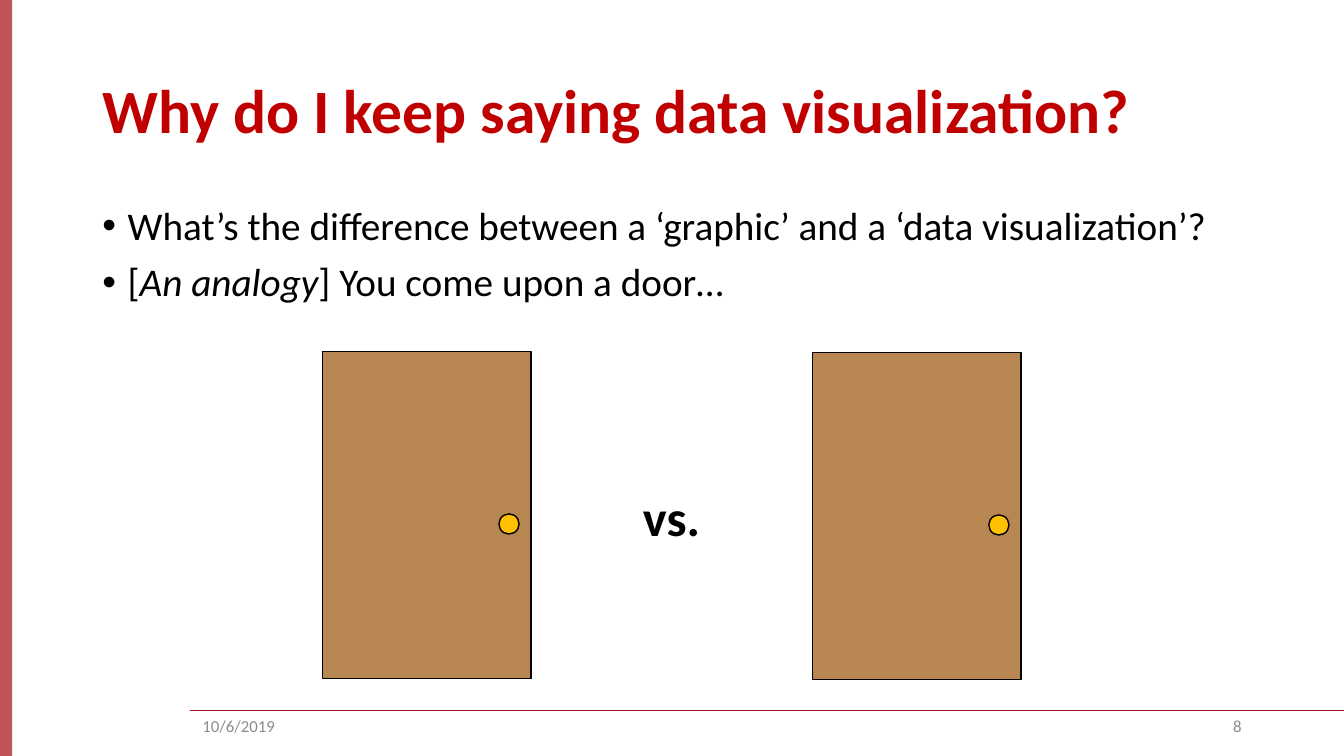
import pptx
import pptx.util
import pptx.dml.color
import pptx.enum.shapes
import pptx.enum.text
import pptx.oxml
import pptx.oxml.ns
import lxml.etree

RGBColor = pptx.dml.color.RGBColor
SHAPE = pptx.enum.shapes.MSO_SHAPE
ANCHOR = pptx.enum.text.MSO_ANCHOR
ALIGN = pptx.enum.text.PP_ALIGN
FIT = pptx.enum.text.MSO_AUTO_SIZE
Pt = pptx.util.Pt
qn = pptx.oxml.ns.qn

BLACK = RGBColor(0x00, 0x00, 0x00)
TITLE_RED = RGBColor(0xC0, 0x00, 0x00)
BAR_RED = RGBColor(0xAF, 0x28, 0x2C)
RULE_RED = RGBColor(0xA2, 0x17, 0x27)
WOOD = RGBColor(0xB7, 0x86, 0x51)
GOLD = RGBColor(0xFF, 0xC0, 0x00)
GREY = RGBColor(0x8C, 0x8C, 0x8C)

COLS, ROWS = 160, 90


class DoorSlide:
    """Draws styled elements on one slide, placed by a 160 by 90 grid."""

    font = "Calibri"

    def __init__(self, prs):
        self.cell_w = prs.slide_width / COLS
        self.cell_h = prs.slide_height / ROWS
        self.s = prs.slides.add_slide(prs.slide_layouts[1])

    def box(self, col, row, cols, rows):
        return (round(col * self.cell_w), round(row * self.cell_h),
                round(cols * self.cell_w), round(rows * self.cell_h))

    def place(self, sp, *cells):
        sp.left, sp.top, sp.width, sp.height = self.box(*cells)

    def style(self, font, size, color, bold=False):
        font.name, font.size, font.bold = self.font, Pt(size), bold
        font.color.rgb = color

    def title(self, text, *cells):
        sp = self.s.shapes.title
        self.place(sp, *cells)
        tf = sp.text_frame
        tf.text = text
        tf.auto_size = FIT.NONE
        tf.vertical_anchor = ANCHOR.MIDDLE
        p = tf.paragraphs[0]
        p.alignment, p.line_spacing = ALIGN.LEFT, 0.9
        self.style(p.runs[0].font, 44, TITLE_RED, True)

    def bullets(self, items, *cells):
        sp = self.s.placeholders[1]
        self.place(sp, *cells)
        tf = sp.text_frame
        tf.auto_size = FIT.NONE
        for i, parts in enumerate(items):
            p = tf.add_paragraph() if i else tf.paragraphs[0]
            p.line_spacing, p.space_before = 0.9, Pt(10 if i else 0)
            pPr = p._p.get_or_add_pPr()
            pPr.set("marL", "228600")
            pPr.set("indent", "-228600")
            lxml.etree.SubElement(pPr, qn("a:buFont"), typeface="Arial")
            lxml.etree.SubElement(pPr, qn("a:buChar"), char="•")
            for text, italic in parts:
                r = p.add_run()
                r.text = text
                self.style(r.font, 28, BLACK)
                r.font.italic = italic

    def label(self, text, cells, size, color, bold=False, align=ALIGN.LEFT,
              anchor=ANCHOR.MIDDLE, wrap=True):
        tf = self.s.shapes.add_textbox(*self.box(*cells)).text_frame
        tf.text = text
        tf.word_wrap, tf.vertical_anchor = wrap, anchor
        tf.auto_size = FIT.NONE if wrap else FIT.SHAPE_TO_FIT_TEXT
        p = tf.paragraphs[0]
        p.alignment = align
        self.style(p.runs[0].font, size, color, bold)

    def shape(self, shapes, kind, cells, fill, line=None):
        sp = shapes.add_shape(kind, *self.box(*cells))
        sp.shadow.inherit = False
        sp.fill.solid()
        sp.fill.fore_color.rgb = fill
        if line is None:
            sp.line.fill.background()
        else:
            sp.line.color.rgb, sp.line.width = line, Pt(1)
        return sp

    def side_bar(self, cols):
        sp = self.shape(self.s.shapes, SHAPE.RECTANGLE, (0, 0, cols, ROWS), BAR_RED)
        clr = sp._element.spPr.find(qn("a:solidFill"))[0]
        lxml.etree.SubElement(clr, qn("a:alpha"), val="80000")

    def rule(self, col, row):
        x, y, w, _ = self.box(col, row, COLS - col, 0)
        line = self.s.shapes.add_connector(
            pptx.enum.shapes.MSO_CONNECTOR.STRAIGHT, x, y, x + w, y)
        line.line.color.rgb, line.line.width = RULE_RED, Pt(1)
        lxml.etree.SubElement(line._element.spPr, qn("a:effectLst"))

    def door(self, col, row):
        shapes = self.s.shapes.add_group_shape().shapes
        self.shape(shapes, SHAPE.RECTANGLE, (col, row, 24.84, 38.88), WOOD, BLACK)
        self.shape(shapes, SHAPE.OVAL, (col + 21, row + 19.3, 2.4, 2.4), GOLD, BLACK)


def main():
    prs = pptx.Presentation()
    prs.slide_width = pptx.util.Inches(13.33)
    prs.slide_height = pptx.util.Inches(7.5)
    slide = DoorSlide(prs)
    slide.side_bar(1.44)
    slide.rule(22.68, 84.6)
    slide.title("Why do I keep saying data visualization?", 11, 4.8, 138, 17.4)
    slide.bullets([
        [("What’s the difference between a ‘graphic’ and a ‘data visualization’?", False)],
        [("[", False), ("An analogy", True), ("] You come upon a door…", False)],
    ], 11, 24, 138, 57.1)
    slide.label("10/6/2019", (22.92, 84.6, 24.12, 3.6), 12, GREY)
    slide.label("8", (113, 84.6, 36, 3.6), 12, GREY, align=ALIGN.RIGHT)
    for col, row in ((38.4, 41.88), (96.72, 42)):
        slide.door(col, row)
    slide.label("vs.", (75.36, 57.24, 9.36, 8.52), 36, BLACK, bold=True,
                anchor=ANCHOR.TOP, wrap=False)
    prs.save("out.pptx")


if __name__ == "__main__":
    main()
